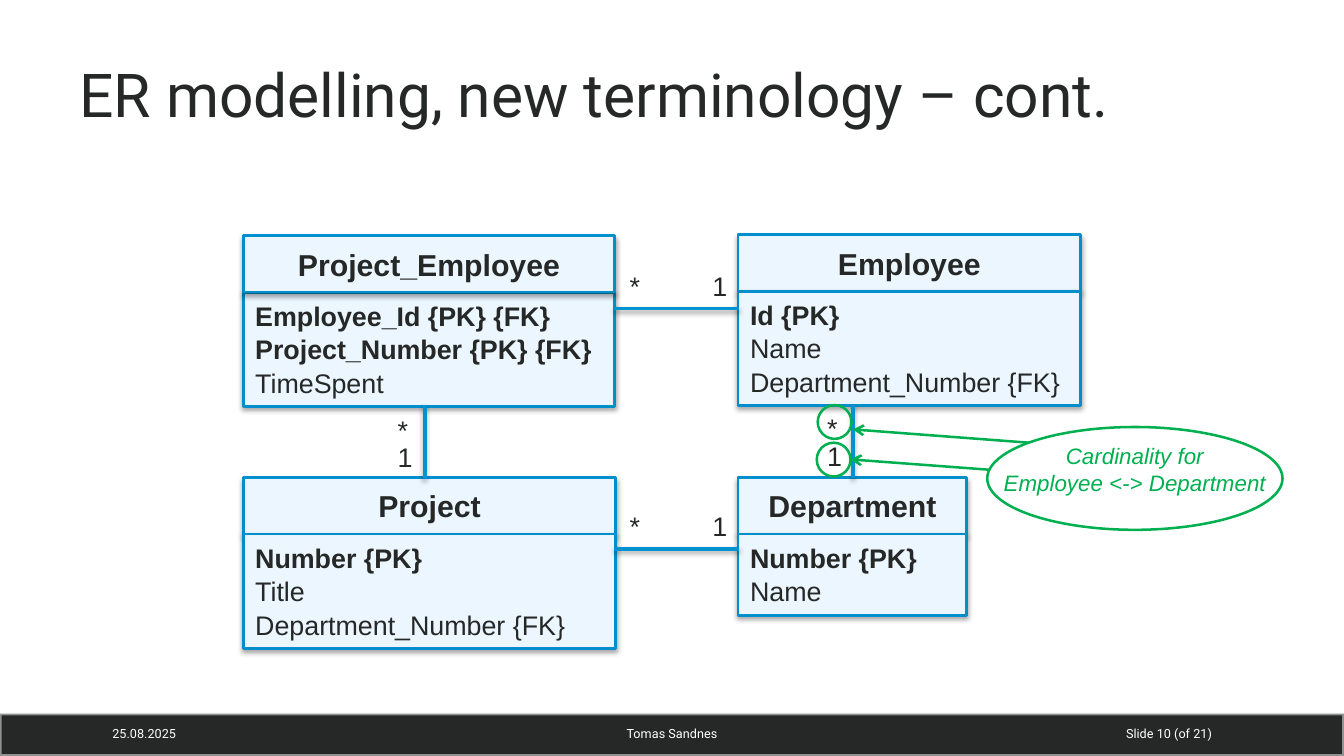
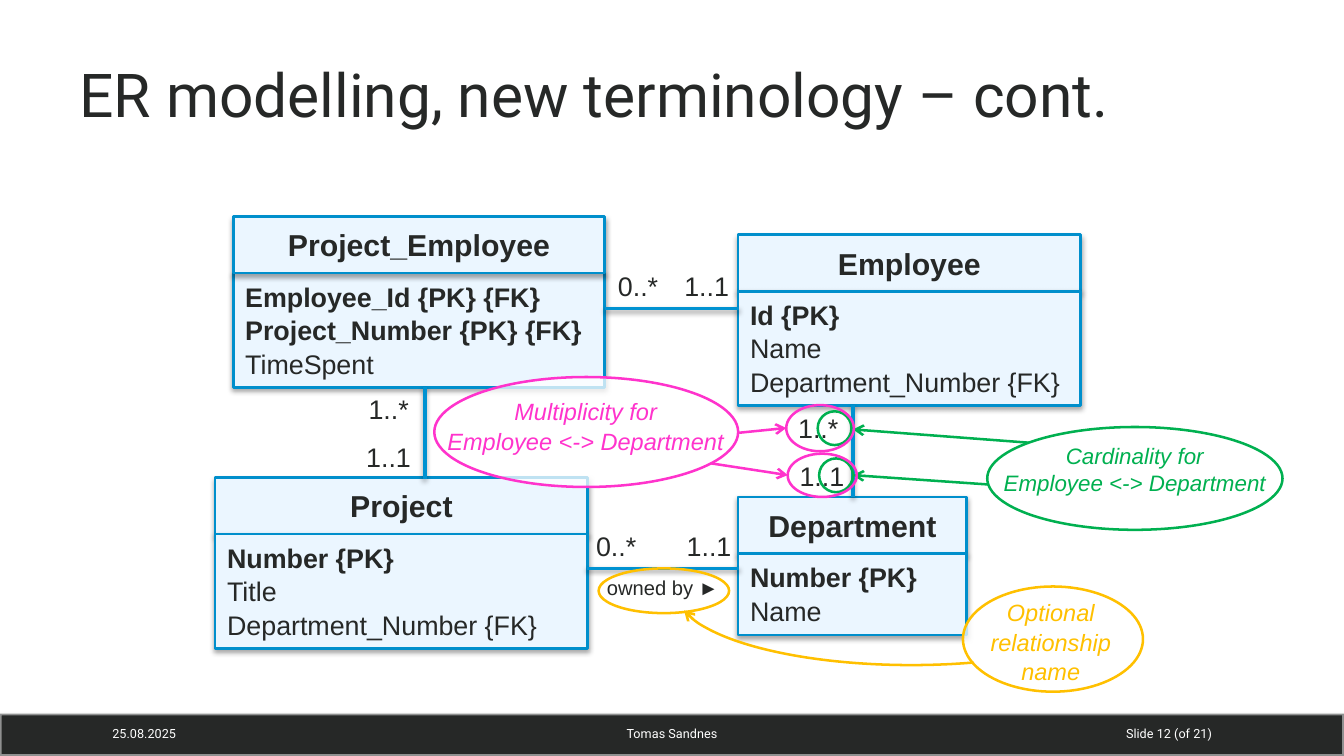
from dataclasses import dataclass
from typing import NamedTuple

from lxml import etree
from pptx import Presentation
from pptx.dml.color import RGBColor
from pptx.enum.shapes import MSO_CONNECTOR, MSO_SHAPE
from pptx.enum.text import MSO_ANCHOR, PP_ALIGN
from pptx.oxml.ns import qn
from pptx.util import Cm, Pt

LEFT, CENTER, RIGHT = PP_ALIGN.LEFT, PP_ALIGN.CENTER, PP_ALIGN.RIGHT
TOP, MIDDLE = MSO_ANCHOR.TOP, MSO_ANCHOR.MIDDLE
RECTANGLE, OVAL, ARC = MSO_SHAPE.RECTANGLE, MSO_SHAPE.OVAL, MSO_SHAPE.ARC
STRAIGHT = MSO_CONNECTOR.STRAIGHT


@dataclass(frozen=True)
class Theme:
    ink: RGBColor = RGBColor(0x26, 0x28, 0x27)
    white: RGBColor = RGBColor(0xFF, 0xFF, 0xFF)
    band_edge: RGBColor = RGBColor(0xF9, 0xF9, 0xF9)
    entity_fill: RGBColor = RGBColor(0xEB, 0xF6, 0xFF)
    entity_edge: RGBColor = RGBColor(0x00, 0x8F, 0xCC)
    relation: RGBColor = RGBColor(0x00, 0x92, 0xD1)
    green: RGBColor = RGBColor(0x00, 0xB0, 0x50)
    pink: RGBColor = RGBColor(0xFF, 0x33, 0xCC)
    amber: RGBColor = RGBColor(0xFF, 0xC0, 0x00)
    heading_font: str = "Roboto"
    diagram_font: str = "Arial"
    title: float = 36
    footer: float = 7.5
    entity_name: float = 18
    body: float = 16
    callout: float = 14
    callout_small: float = 13.3
    relation_name: float = 12
    thin: float = 1.5
    thick: float = 2


THEME = Theme()
SLIDE_WIDTH, SLIDE_HEIGHT = 28.22, 15.88
BAND_TOP, BAND_HEIGHT = 14.99, 0.89
HEADER_HEIGHT, ROW_HEIGHT, BODY_PADDING = 1.19, 0.69, 0.33
LABEL_HEIGHT = 0.94
SIDE_INSET = 0.25
ROW_SPACING = 1.04


class Box(NamedTuple):
    left: float
    top: float
    width: float
    height: float

    def lengths(self):
        return [Cm(value) for value in self]


class Line(NamedTuple):
    x1: float
    y1: float
    x2: float
    y2: float


class Label(NamedTuple):
    left: float
    top: float
    width: float
    text: str
    align: PP_ALIGN = LEFT


@dataclass(frozen=True)
class Style:
    size: float
    color: RGBColor = THEME.ink
    font: str = THEME.diagram_font
    bold: bool = False
    italic: bool = False


@dataclass(frozen=True)
class Entity:
    left: float
    top: float
    width: float
    name: str
    keys: tuple[str, ...]
    fields: tuple[str, ...]
    header_on_top: bool = False


@dataclass(frozen=True)
class Callout:
    oval: Box
    text_box: Box
    lines: tuple[str, ...]
    color: RGBColor
    size: float
    spacing: float
    opacity: int
    arrows: tuple[Line, ...]
    rings: tuple[Box, ...]


@dataclass(frozen=True)
class Diagram:
    number: int
    entities: tuple[Entity, ...]
    relations: tuple[Line, ...]
    labels: tuple[Label, ...]
    callouts: tuple[Callout, ...]


def set_alpha(color_parent, percent: int) -> None:
    color = color_parent.find(qn("a:solidFill")).find(qn("a:srgbClr"))
    etree.SubElement(color, qn("a:alpha"), val=str(percent * 1000))


def add_drop_shadow(effects, opacity: int, distance: float) -> None:
    shadow = etree.SubElement(
        effects, qn("a:outerShdw"), blurRad=str(Pt(3.1)), dist=str(Pt(distance)),
        dir="5400000", rotWithShape="0")
    color = etree.SubElement(shadow, qn("a:srgbClr"), val="000000")
    etree.SubElement(color, qn("a:alpha"), val=str(opacity * 1000))


def add_arrowhead(properties) -> None:
    etree.SubElement(properties.find(qn("a:ln")), qn("a:tailEnd"), type="arrow")


def draw_shape(slide, kind, box: Box, edge: RGBColor, fill: RGBColor | None = None,
               width: float = THEME.thin):
    shape = slide.shapes.add_shape(kind, *box.lengths())
    shape.shadow.inherit = False
    if fill is None:
        shape.fill.background()
    else:
        shape.fill.solid()
        shape.fill.fore_color.rgb = fill
    shape.line.color.rgb = edge
    shape.line.width = Pt(width)
    return shape


def draw_line(slide, line: Line, color: RGBColor, width: float):
    connector = slide.shapes.add_connector(STRAIGHT, *(Cm(value) for value in line))
    connector.line.color.rgb = color
    connector.line.width = Pt(width)
    properties = connector._element.spPr
    return properties, etree.SubElement(properties, qn("a:effectLst"))


def add_run(paragraph, text: str, style: Style) -> None:
    run = paragraph.add_run()
    run.text = text
    run.font.name = style.font
    run.font.size = Pt(style.size)
    run.font.bold = style.bold
    run.font.italic = style.italic
    run.font.color.rgb = style.color


def write(frame, rows: list[tuple[str, Style]], align=LEFT, anchor=TOP,
          spacing: float = 1.0, insets: tuple[float, float] = (SIDE_INSET, SIDE_INSET)) -> None:
    frame.word_wrap = True
    frame.vertical_anchor = anchor
    frame.margin_left, frame.margin_right = Cm(insets[0]), Cm(insets[1])
    for index, (text, style) in enumerate(rows):
        paragraph = frame.add_paragraph() if index else frame.paragraphs[0]
        paragraph.alignment = align
        paragraph.line_spacing = spacing
        add_run(paragraph, text, style)


def draw_text(slide, box: Box, text: str, style: Style, align=LEFT, anchor=TOP,
              insets: tuple[float, float] = (SIDE_INSET, SIDE_INSET)) -> None:
    frame = slide.shapes.add_textbox(*box.lengths()).text_frame
    write(frame, [(text, style)], align, anchor, insets=insets)


def draw_frame(slide, number: int) -> None:
    band = draw_shape(slide, RECTANGLE, Box(0, BAND_TOP, SLIDE_WIDTH, BAND_HEIGHT),
                      THEME.band_edge, THEME.ink, THEME.thick)
    set_alpha(band._element.spPr.find(qn("a:ln")), 50)
    draw_text(slide, Box(1.42, 0.64, 25.4, 2.64), "ER modelling, new terminology – cont.",
              Style(THEME.title, font=THEME.heading_font), anchor=MIDDLE)
    footer = Style(THEME.footer, THEME.white, THEME.heading_font)
    for left, width, text, align in (
        (2.11, 6.58, "25.08.2025", LEFT),
        (9.88, 8.46, "Tomas Sandnes", CENTER),
        (20.9, 4.8, f"Slide {number} (of 21)", RIGHT),
    ):
        draw_text(slide, Box(left, BAND_TOP, width, 0.84), text, footer, align, MIDDLE)


def draw_entity(slide, entity: Entity) -> None:
    key_style = Style(THEME.body, bold=True)
    rows = [(key, key_style) for key in entity.keys]
    rows += [(field, Style(THEME.body)) for field in entity.fields]
    body_height = ROW_HEIGHT * len(rows) + BODY_PADDING
    name = [(entity.name, Style(THEME.entity_name, bold=True))]
    parts = [
        (Box(entity.left, entity.top, entity.width, HEADER_HEIGHT), name, CENTER, MIDDLE, 1.0),
        (Box(entity.left, entity.top + HEADER_HEIGHT, entity.width, body_height),
         rows, LEFT, TOP, ROW_SPACING),
    ]
    for box, content, align, anchor, spacing in reversed(parts) if entity.header_on_top else parts:
        part = draw_shape(slide, RECTANGLE, box, THEME.entity_edge, THEME.entity_fill)
        add_drop_shadow(part._element.spPr.find(qn("a:effectLst")), 35, 1.8)
        write(part.text_frame, content, align, anchor, spacing)


def draw_callout(slide, callout: Callout) -> None:
    for arrow in callout.arrows:
        properties, _ = draw_line(slide, arrow, callout.color, THEME.thin)
        add_arrowhead(properties)
    oval = draw_shape(slide, OVAL, callout.oval, callout.color, THEME.white)
    set_alpha(oval._element.spPr, callout.opacity)
    frame = slide.shapes.add_textbox(*callout.text_box.lengths()).text_frame
    style = Style(callout.size, callout.color, italic=True)
    write(frame, [(callout.lines[0], style)], CENTER, spacing=callout.spacing, insets=(0, 0))
    for text in callout.lines[1:]:
        frame.paragraphs[0].add_line_break()
        add_run(frame.paragraphs[0], text, style)
    for ring in callout.rings:
        draw_shape(slide, OVAL, ring, callout.color)


def draw_relationship_name(slide) -> None:
    draw_text(slide, Box(12.32, 11.96, 3.2, 0.76), "owned by ►",
              Style(THEME.relation_name), CENTER)
    pointer = draw_shape(slide, ARC, Box(14.22, 10.95, 9.83, 3.02), THEME.amber)
    pointer.rotation = 180
    for index, degrees in enumerate((228.1, 355.66)):
        pointer.adjustments[index] = degrees * 0.6
    add_arrowhead(pointer._element.spPr)


def draw_diagram(slide, diagram: Diagram) -> None:
    draw_frame(slide, diagram.number)
    for entity in diagram.entities:
        draw_entity(slide, entity)
    for relation in diagram.relations:
        _, effects = draw_line(slide, relation, THEME.relation, THEME.thick)
        add_drop_shadow(effects, 38, 1.6)
    for label in diagram.labels:
        insets = (0, SIDE_INSET) if label.align == RIGHT else (SIDE_INSET, 0)
        draw_text(slide, Box(label.left, label.top, label.width, LABEL_HEIGHT), label.text,
                  Style(THEME.body), label.align, insets=insets)
    for callout in diagram.callouts:
        draw_callout(slide, callout)


def company_entities(project_left: float, department_top: float,
                     assignment_left: float, assignment_top: float) -> tuple[Entity, ...]:
    return (
        Entity(15.5, 4.93, 7.19, "Employee", ("Id {PK}",), ("Name", "Department_Number {FK}")),
        Entity(15.5, department_top, 4.8, "Department", ("Number {PK}",), ("Name",)),
        Entity(project_left, 10.03, 7.82, "Project", ("Number {PK}",),
               ("Title", "Department_Number {FK}")),
        Entity(assignment_left, assignment_top, 7.8, "Project_Employee",
               ("Employee_Id {PK} {FK}", "Project_Number {PK} {FK}"), ("TimeSpent",), True),
    )


def cardinality(lower_arrow: Line, rings: tuple[Box, ...]) -> Callout:
    return Callout(Box(20.73, 8.97, 6.2, 2.16), Box(20.78, 9.17, 6.1, 1.4),
                   ("Cardinality for", "Employee <-> Department"), THEME.green,
                   THEME.callout_small, 1.0, 100,
                   (lower_arrow, Line(21.62, 9.3, 17.91, 9.02)), rings)


MULTIPLICITY = Callout(
    Box(9.12, 7.92, 6.38, 2.31), Box(9.14, 8.2, 6.32, 1.45),
    ("Multiplicity for", "Employee <-> Department"), THEME.pink, THEME.callout, ROW_SPACING, 75,
    (Line(14.91, 9.73, 16.54, 9.98), Line(15.52, 9.09, 16.51, 8.99)),
    (Box(16.54, 9.53, 1.45, 0.91), Box(16.51, 8.51, 1.42, 0.97)))
OPTIONAL_NAME = Callout(
    Box(20.22, 12.32, 3.78, 2.21), Box(20.12, 12.42, 3.89, 2.06),
    ("Optional", "relationship", "name"), THEME.amber, THEME.callout, ROW_SPACING, 75,
    (), (Box(12.57, 11.94, 2.74, 0.94),))

CARDINALITY_DIAGRAM = Diagram(
    10, company_entities(5.11, 10.03, 5.11, 4.95),
    (Line(15.52, 11.53, 12.9, 11.53), Line(15.52, 6.48, 12.9, 6.48),
     Line(8.92, 8.51, 8.92, 10.06), Line(17.91, 8.51, 17.91, 10.03)),
    (Label(12.9, 10.59, 0.79, "*", RIGHT), Label(14.71, 10.59, 0.79, "1"),
     Label(12.9, 5.54, 0.79, "*", RIGHT), Label(14.71, 5.54, 0.79, "1"),
     Label(8.1, 8.56, 0.79, "*"), Label(8.1, 9.14, 0.79, "1"),
     Label(17.12, 8.53, 0.79, "*"), Label(17.12, 9.12, 0.79, "1")),
    (cardinality(Line(21.62, 9.93, 17.86, 9.65),
                 (Box(17.17, 8.51, 0.71, 0.71), Box(17.15, 9.3, 0.71, 0.71))),))
MULTIPLICITY_DIAGRAM = Diagram(
    12, company_entities(4.52, 10.44, 4.9, 4.55),
    (Line(15.52, 11.94, 12.32, 11.94), Line(15.52, 6.48, 12.7, 6.48),
     Line(8.92, 8.13, 8.92, 10.06), Line(17.91, 8.51, 17.91, 10.44)),
    (Label(11.91, 11, 1.7, "0..*", RIGHT), Label(14.17, 11, 1.93, "1..1"),
     Label(12.7, 5.54, 1.37, "0..*", RIGHT), Label(14.12, 5.54, 1.6, "1..1"),
     Label(7.49, 8.13, 1.42, "1..*"), Label(7.44, 9.14, 1.45, "1..1"),
     Label(16.51, 8.53, 1.4, "1..*"), Label(16.54, 9.53, 1.45, "1..1")),
    (cardinality(Line(21.67, 10.24, 17.91, 9.98),
                 (Box(17.17, 8.64, 0.71, 0.71), Box(17.2, 9.63, 0.71, 0.71))),
     MULTIPLICITY, OPTIONAL_NAME))


def main() -> None:
    deck = Presentation()
    deck.slide_width, deck.slide_height = Cm(SLIDE_WIDTH), Cm(SLIDE_HEIGHT)
    blank = deck.slide_layouts[6]
    draw_diagram(deck.slides.add_slide(blank), CARDINALITY_DIAGRAM)
    multiplicity_slide = deck.slides.add_slide(blank)
    draw_diagram(multiplicity_slide, MULTIPLICITY_DIAGRAM)
    draw_relationship_name(multiplicity_slide)
    deck.save("out.pptx")


if __name__ == "__main__":
    main()
